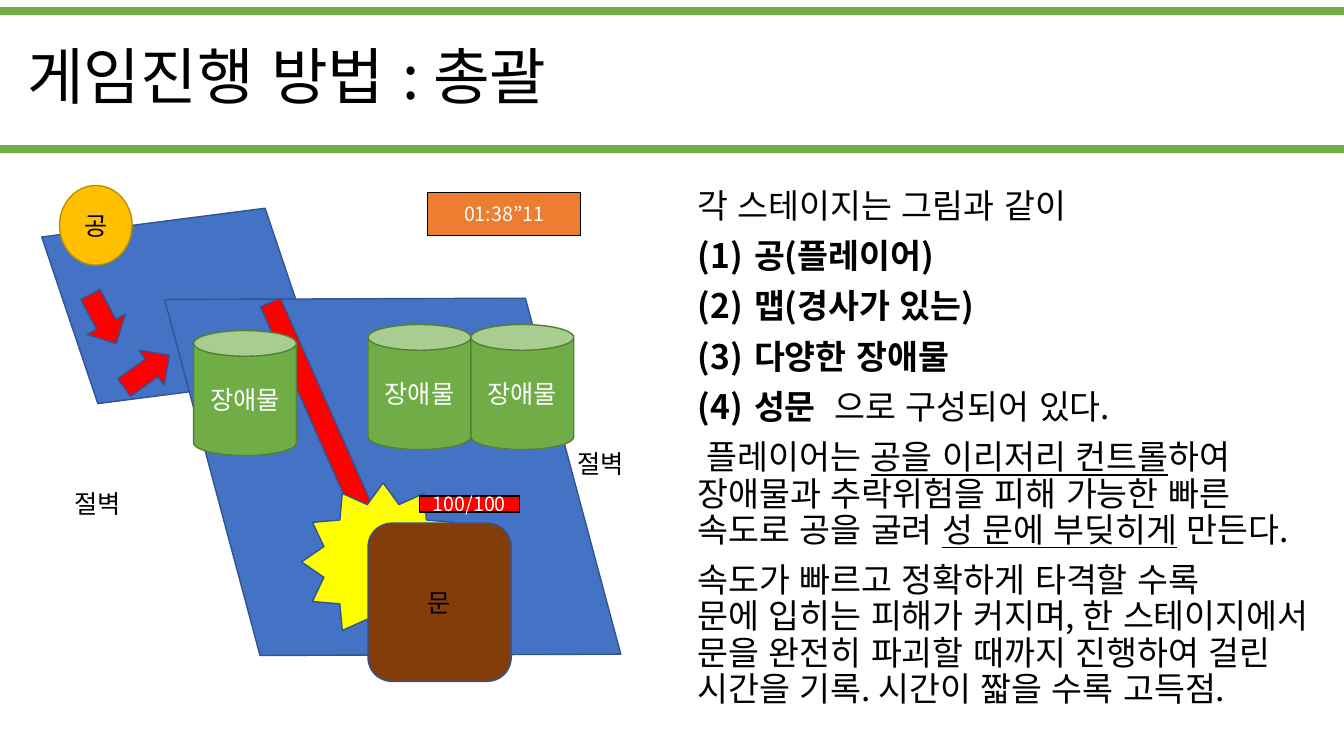
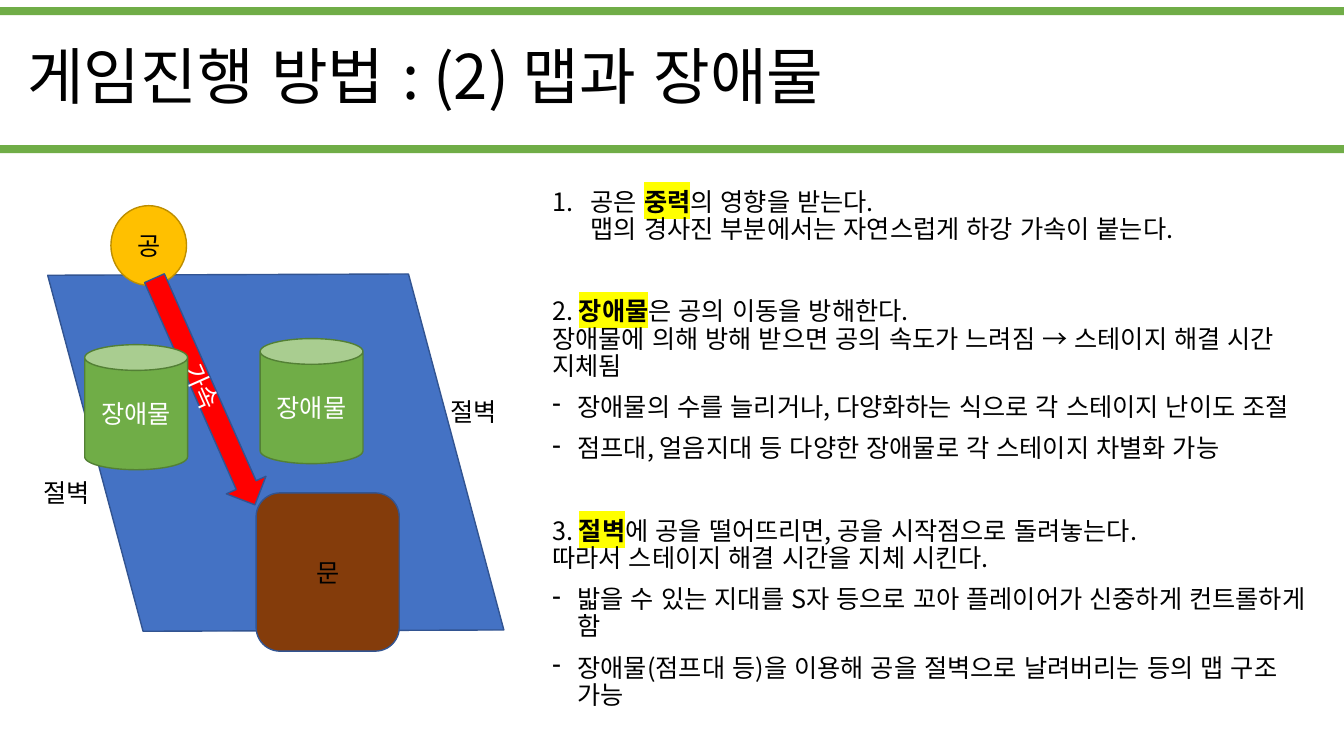
from lxml import etree
from pptx import Presentation
from pptx.dml.color import RGBColor
from pptx.enum.shapes import MSO_SHAPE
from pptx.enum.text import MSO_ANCHOR, MSO_AUTO_SIZE, PP_ALIGN
from pptx.oxml.ns import qn
from pptx.util import Inches, Pt

MIDDLE, TOP = MSO_ANCHOR.MIDDLE, MSO_ANCHOR.TOP
LEFT, CENTER = PP_ALIGN.LEFT, PP_ALIGN.CENTER
NO_FIT, GROW = MSO_AUTO_SIZE.NONE, MSO_AUTO_SIZE.SHAPE_TO_FIT_TEXT
RECTANGLE, DOOR_SHAPE = MSO_SHAPE.RECTANGLE, MSO_SHAPE.ROUNDED_RECTANGLE
SLOPE_SHAPE, BALL_SHAPE = MSO_SHAPE.FLOWCHART_DATA, MSO_SHAPE.FLOWCHART_CONNECTOR
ARROW_SHAPE, CAN_SHAPE = MSO_SHAPE.RIGHT_ARROW, MSO_SHAPE.CAN
STAR_SHAPE = MSO_SHAPE.STAR_12_POINT

FONT = "Noto Sans CJK KR"
BLACK = RGBColor(0x00, 0x00, 0x00)
WHITE = RGBColor(0xFF, 0xFF, 0xFF)
GREEN = RGBColor(0x70, 0xAD, 0x47)
DARK_GREEN = RGBColor(0x53, 0x80, 0x35)
BLUE = RGBColor(0x44, 0x72, 0xC4)
DARK_BLUE = RGBColor(0x32, 0x54, 0x91)
GOLD = RGBColor(0xFF, 0xC0, 0x00)
DARK_GOLD = RGBColor(0xBD, 0x8E, 0x00)
RED = RGBColor(0xFF, 0x00, 0x00)
YELLOW = RGBColor(0xFF, 0xFF, 0x00)
BROWN = RGBColor(0x84, 0x3C, 0x0B)
ORANGE = RGBColor(0xED, 0x7D, 0x31)

# Part: preset, fill, line, text colour, text size
STYLES = {
    "band": (RECTANGLE, GREEN, None, BLACK, 18),
    "slope": (SLOPE_SHAPE, BLUE, DARK_BLUE, WHITE, 18),
    "ball": (BALL_SHAPE, GOLD, DARK_GOLD, BLACK, 18),
    "arrow": (ARROW_SHAPE, RED, DARK_BLUE, WHITE, 18),
    "impact": (STAR_SHAPE, YELLOW, DARK_BLUE, BLACK, 18),
    "obstacle": (CAN_SHAPE, GREEN, DARK_GREEN, WHITE, 18),
    "door": (DOOR_SHAPE, BROWN, DARK_BLUE, BLACK, 18),
    "timer": (RECTANGLE, ORANGE, BLACK, WHITE, 14),
    "health": (RECTANGLE, RED, BLACK, WHITE, 14),
}

# Bullet: element, attributes, hanging indent
BULLETS = {
    "(1)": ("a:buAutoNum", {"type": "arabicParenBoth"}, 0.56),
    "1.": ("a:buAutoNum", {"type": "arabicPeriod"}, 0.38),
    "-": ("a:buChar", {"char": "-"}, 0.25),
}
LINE_SPACING = 0.9
GAP = 10
SECTION_GAP = 39.5

# Map parts: style, left, top, width, height, rotation, label
# Paragraphs: bullet, space before, runs of (text, emphasis)
SLIDES = [
    {
        "title": "게임진행 방법 : 총괄",
        "map": [
            ("slope", 0.71, 1.94, 2.18, 2.19, 251.4, ""),
            ("ball", 0.59, 1.84, 0.72, 0.79, 0, "공"),
            ("slope", 1.61, 3, 4.57, 3.46, 255, ""),
            ("arrow", 0.75, 2.95, 0.55, 0.43, 62.2, ""),
            ("arrow", 1.18, 3.47, 0.55, 0.43, 324.3, ""),
            ("arrow", 1.95, 3.91, 2.46, 0.43, 66.1, ""),
            ("impact", 2.99, 4.79, 1.62, 1.57, 0, ""),
            ("obstacle", 1.92, 3.28, 1.02, 1.24, 0, "장애물"),
            ("obstacle", 3.65, 3.22, 1.02, 1.24, 0, "장애물"),
            ("obstacle", 4.67, 3.22, 1.02, 1.24, 0, "장애물"),
            ("door", 3.65, 5.19, 1.42, 1.57, 0, "문"),
            ("timer", 4.24, 1.91, 1.52, 0.43, 0, "01:38”11"),
            ("health", 4.16, 4.92, 0.99, 0.16, 0, "100/100"),
        ],
        "cliffs": [(0.64, 4.8), (5.63, 4.4)],
        "body": (6.82, 6.32, 24),
        "paragraphs": [
            (None, GAP, [("각 스테이지는 그림과 같이", "")]),
            ("(1)", GAP, [("공(플레이어)", "bold")]),
            ("(1)", GAP, [("맵(경사가 있는)", "bold")]),
            ("(1)", GAP, [("다양한 장애물", "bold")]),
            ("(1)", GAP, [("성문 ", "bold"), (" 으로 구성되어 있다.", "")]),
            (None, GAP, [
                (" 플레이어는 ", ""),
                ("공을 이리저리 컨트롤", "underline"),
                ("하여\n장애물과 추락위험을 피해 가능한 빠른 속도로 공을 굴려 ", ""),
                ("성 문에 부딪히게", "underline"),
                (" 만든다.", ""),
            ]),
            (None, GAP, [(
                "속도가 빠르고 정확하게 타격할 수록\n문에 입히는 피해가 커지며, "
                "한 스테이지에서 문을 완전히 파괴할 때까지 진행하여 걸린 시간을 기록. "
                "시간이 짧을 수록 고득점.", "")]),
        ],
    },
    {
        "title": "게임진행 방법 : (2) 맵과 장애물",
        "map": [
            ("slope", 0.45, 2.76, 4.57, 3.46, 255, ""),
            ("ball", 1.1, 2.04, 0.75, 0.79, 0, "공"),
            ("arrow", 0.8, 3.67, 2.46, 0.43, 66.1, "가속"),
            ("door", 2.54, 4.89, 1.42, 1.57, 0, "문"),
            ("obstacle", 0.84, 3.42, 1.02, 1.24, 0, "장애물"),
            ("obstacle", 2.58, 3.36, 1.02, 1.24, 0, "장애물"),
        ],
        "cliffs": [(0.33, 4.69), (4.37, 3.88)],
        "body": (5.38, 7.76, 18),
        "paragraphs": [
            ("1.", GAP, [
                ("공은 ", ""), ("중력", "highlight"),
                ("의 영향을 받는다.\n맵의 경사진 부분에서는 자연스럽게 하강 가속이 붙는다.", ""),
            ]),
            (None, SECTION_GAP, [
                ("2. ", ""), ("장애물", "highlight"),
                ("은 공의 이동을 방해한다.\n장애물에 의해 방해 받으면 공의 속도가 느려짐 → "
                 "스테이지 해결 시간 지체됨", ""),
            ]),
            ("-", GAP, [("장애물의 수를 늘리거나, 다양화하는 식으로 각 스테이지 난이도 조절", "")]),
            ("-", GAP, [("점프대, 얼음지대 등 다양한 장애물로 각 스테이지 차별화 가능", "")]),
            (None, SECTION_GAP, [
                ("3. ", ""), ("절벽", "highlight"),
                ("에 공을 떨어뜨리면, 공을 시작점으로 돌려놓는다.\n"
                 "따라서 스테이지 해결 시간을 지체 시킨다.", ""),
            ]),
            ("-", GAP, [("밟을 수 있는 지대를 S자 등으로 꼬아 플레이어가 신중하게 컨트롤하게 함", "")]),
            ("-", GAP, [("장애물(점프대 등)을 이용해 공을 절벽으로 날려버리는 등의 맵 구조 가능", "")]),
        ],
    },
]


def add_text(paragraph, text, size, color, emphasis=""):
    for index, line in enumerate(text.split("\n")):
        if index:
            paragraph.add_line_break()
        run = paragraph.add_run()
        run.text = line
        font = run.font
        font.size = Pt(size)
        font.bold = emphasis in ("bold", "highlight")
        font.underline = emphasis == "underline"
        font.color.rgb = color
        properties = run._r.get_or_add_rPr()
        properties.set("lang", "ko-KR")
        if emphasis == "highlight":
            highlight = etree.SubElement(properties, qn("a:highlight"))
            etree.SubElement(highlight, qn("a:srgbClr"), val=str(YELLOW))
        font.name = FONT
        etree.SubElement(properties, qn("a:ea"), typeface=FONT)


def add_part(shapes, style, left, top, width, height, rotation=0, label=""):
    preset, fill, line, text_color, size = STYLES[style]
    shape = shapes.add_shape(preset, Inches(left), Inches(top), Inches(width), Inches(height))
    shape.rotation = rotation
    shape.shadow.inherit = False
    shape.fill.solid()
    shape.fill.fore_color.rgb = fill
    if line is None:
        shape.line.fill.background()
    else:
        shape.line.color.rgb = line
        shape.line.width = Pt(1)
    if label:
        shape.text_frame.vertical_anchor = MIDDLE
        paragraph = shape.text_frame.paragraphs[0]
        paragraph.alignment = CENTER
        add_text(paragraph, label, size, text_color)
    return shape


presentation = Presentation()
presentation.slide_width = Inches(13.33)
presentation.slide_height = Inches(7.5)
layout = presentation.slide_layouts[5]

for number, content in enumerate(SLIDES):
    slide = presentation.slides.add_slide(layout)

    # Green bands, moved once to the shared layout
    if number == 0:
        for band_top in (0.07, 1.44):
            band = add_part(slide.shapes, "band", 0, band_top, 13.33, 0.08)
            layout.shapes.element.append(band.element)

    # Title
    title = slide.shapes.title
    title.left, title.top = Inches(0.17), Inches(0.06)
    title.width, title.height = Inches(12.97), Inches(1.45)
    title.text_frame.vertical_anchor = MIDDLE
    title.text_frame.auto_size = NO_FIT
    paragraph = title.text_frame.paragraphs[0]
    paragraph.alignment = LEFT
    paragraph.line_spacing = LINE_SPACING
    add_text(paragraph, content["title"], 44, BLACK)

    # Game map
    game_map = slide.shapes.add_group_shape()
    for part in content["map"]:
        add_part(game_map.shapes, *part)

    # Cliff labels
    for left, top in content["cliffs"]:
        cliff = slide.shapes.add_textbox(Inches(left), Inches(top), Inches(1.55), Inches(0.4))
        cliff.text_frame.word_wrap = True
        cliff.text_frame.auto_size = GROW
        add_text(cliff.text_frame.paragraphs[0], "절벽", 18, BLACK)

    # Explanation
    left, width, size = content["body"]
    body = slide.shapes.add_textbox(Inches(left), Inches(1.83), Inches(width), Inches(5.4))
    frame = body.text_frame
    frame.word_wrap = True
    frame.auto_size = NO_FIT
    frame.vertical_anchor = TOP
    for index, (bullet, space_before, runs) in enumerate(content["paragraphs"]):
        paragraph = frame.add_paragraph() if index else frame.paragraphs[0]
        paragraph.line_spacing = LINE_SPACING
        paragraph.space_before = Pt(space_before)
        if bullet:
            tag, attributes, indent = BULLETS[bullet]
            properties = paragraph._p.get_or_add_pPr()
            properties.set("marL", str(Inches(indent)))
            properties.set("indent", str(-Inches(indent)))
            etree.SubElement(properties, qn(tag), attributes)
        for text, emphasis in runs:
            add_text(paragraph, text, size, BLACK, emphasis)

presentation.save("out.pptx")
